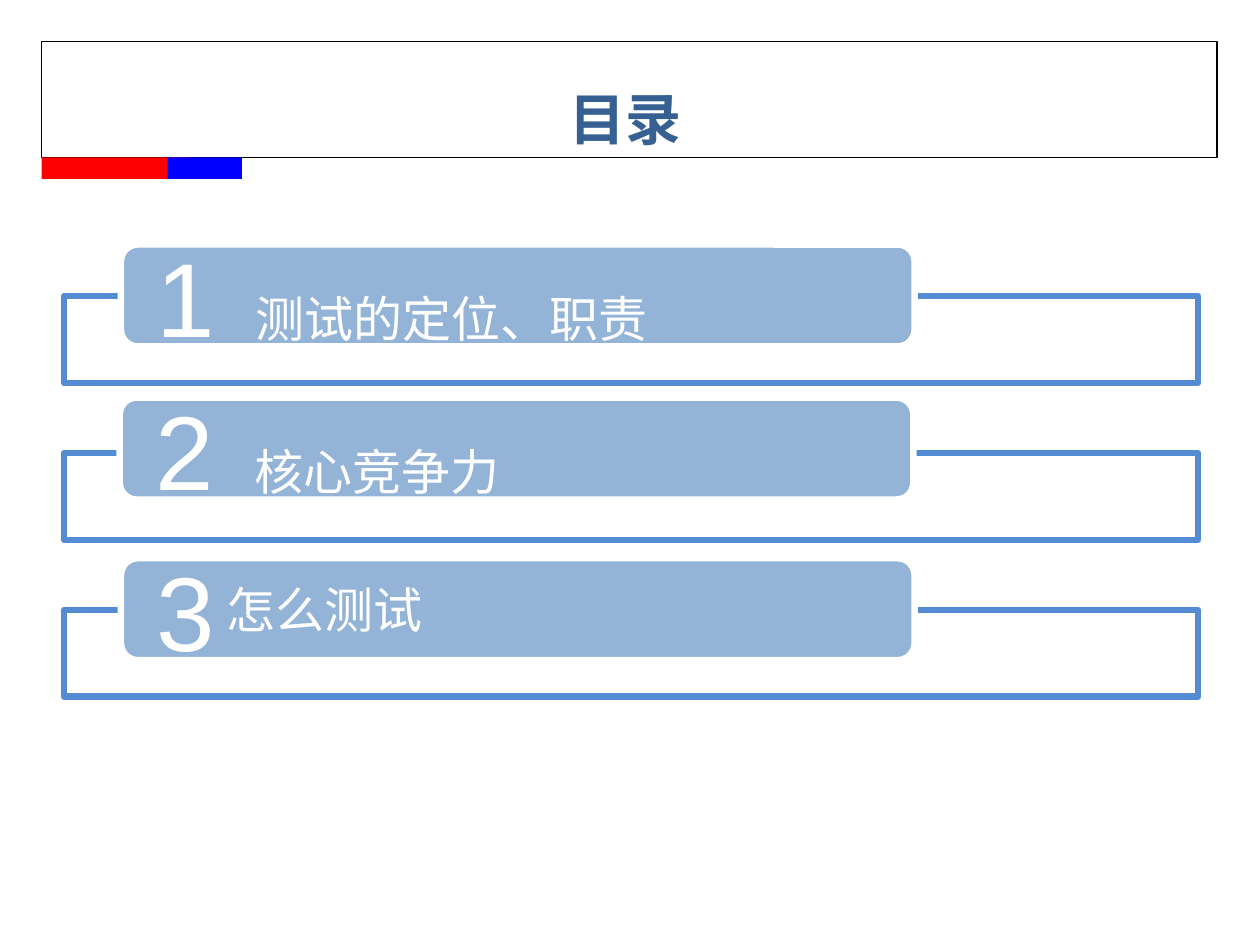
from lxml import etree
from pptx import Presentation
from pptx import util as u
from pptx.dml.color import RGBColor
from pptx.enum import shapes, text
from pptx.oxml.ns import qn

COLS, ROWS = 100, 75
RECT = shapes.MSO_SHAPE.RECTANGLE
ROUND = shapes.MSO_SHAPE.ROUNDED_RECTANGLE
MID = text.MSO_ANCHOR.MIDDLE
LEFT, CENTER = text.PP_ALIGN.LEFT, text.PP_ALIGN.CENTER


def color(code):
    return RGBColor.from_string(code)


class Page:
    """Style and current slide; boxes are (column, row, width, height)."""

    latin, cjk = "Arial", "Noto Sans CJK SC"
    white, blue, pale, dark = "FFFFFF", "538CD5", "93B3D7", "366092"

    def __init__(self, deck):
        self.slide = deck.slides.add_slide(deck.slide_layouts[6])
        self.dx, self.dy = deck.slide_width / COLS, deck.slide_height / ROWS

    def place(self, box):
        x, y, w, h = box
        return [round(v) for v in
                (x * self.dx, y * self.dy, w * self.dx, h * self.dy)]

    def block(self, box, fill=None, line=None, width=3.77, kind=RECT, alpha=None):
        """Add a preset shape; alpha is the fill's opacity in percent."""
        item = self.slide.shapes.add_shape(kind, *self.place(box))
        item.shadow.inherit = False
        if fill:
            item.fill.solid()
            item.fill.fore_color.rgb = color(fill)
        else:
            item.fill.background()
        if alpha:
            tint = item._element.spPr.find(qn("a:solidFill"))[0]
            etree.SubElement(tint, qn("a:alpha"), val=str(alpha * 1000))
        if line:
            item.line.color.rgb = color(line)
            item.line.width = u.Pt(width)
        else:
            item.line.fill.background()
        return item

    def letter(self, item, runs, tone, inset=(1, 0.5), align=LEFT, anchor=MID):
        """Fill an item with one paragraph of (words, size, font) runs."""
        frame = item.text_frame
        frame.word_wrap = True
        frame.vertical_anchor = anchor
        frame.margin_left = round(inset[0] * self.dx)
        frame.margin_right = u.Inches(0.1)
        frame.margin_top = frame.margin_bottom = round(inset[1] * self.dy)
        para = frame.paragraphs[0]
        para.alignment = align
        for words, size, face in runs:
            run = para.add_run()
            run.text = words
            run.font.size = u.Pt(size)
            run.font.name = face
            run.font.color.rgb = color(tone)
            etree.SubElement(run._r.get_or_add_rPr(), qn("a:ea"), typeface=face)
        return para

    def label(self, box, runs, tone, **style):
        item = self.slide.shapes.add_textbox(*self.place(box))
        return self.letter(item, runs, tone, **style)

    def tab(self, para, col):
        """Set a left tab stop, in columns from the text's left edge."""
        stops = etree.SubElement(para._p.get_or_add_pPr(), qn("a:tabLst"))
        etree.SubElement(stops, qn("a:tab"), pos=str(round(col * self.dx)), algn="l")

    def entry(self, top, left, number, words, inside):
        """Add a framed bar; inside puts its words in the bar itself."""
        self.block((5.1, top, 90, 6.9), self.white, self.blue, alpha=89)
        rise = 4.4 if number == 2 else 4.1
        box = (left, top - rise, 63, 8.1)
        bar = self.block(box, self.pale, self.white, kind=ROUND)
        name = (words, 28, self.cjk)
        runs = [(str(number), 60, self.latin)]
        if inside:
            self.letter(bar, [name], self.white, inset=(8, 0.5))
        else:
            runs += [("\t", 27, self.cjk), name]
        inner = (left + 0.4, box[1] + 0.4, 62.2, 7.3)
        para = self.label(inner, runs, self.white, inset=(2.4, 0))
        if not inside:
            self.tab(para, 7.9)


def main():
    deck = Presentation()
    deck.slide_width, deck.slide_height = u.Inches(10), u.Inches(7.5)
    page = Page(deck)
    page.block((3.3, 3.3, 93.3, 9.2), line="000000", width=0.75)
    page.block((3.3, 12.5, 11.8, 1.7), "FF0000")
    page.block((13.3, 12.5, 5.9, 1.7), "0000FF")

    entries = [("测试的定位、职责", 9.6, False),
               ("核心竞争力", 9.5, False),
               ("怎么测试", 9.6, True)]
    for i, (words, left, inside) in enumerate(entries):
        page.entry(23.5 + 12.45 * i, left, i + 1, words, inside)

    title = page.label((4.7, 4.8, 89.9, 7.7), [("目录", 32, page.cjk)],
                       page.dark, align=CENTER, anchor=text.MSO_ANCHOR.TOP)
    title.line_spacing = 1.27
    title.font.bold = True
    deck.save("out.pptx")


if __name__ == "__main__":
    main()
